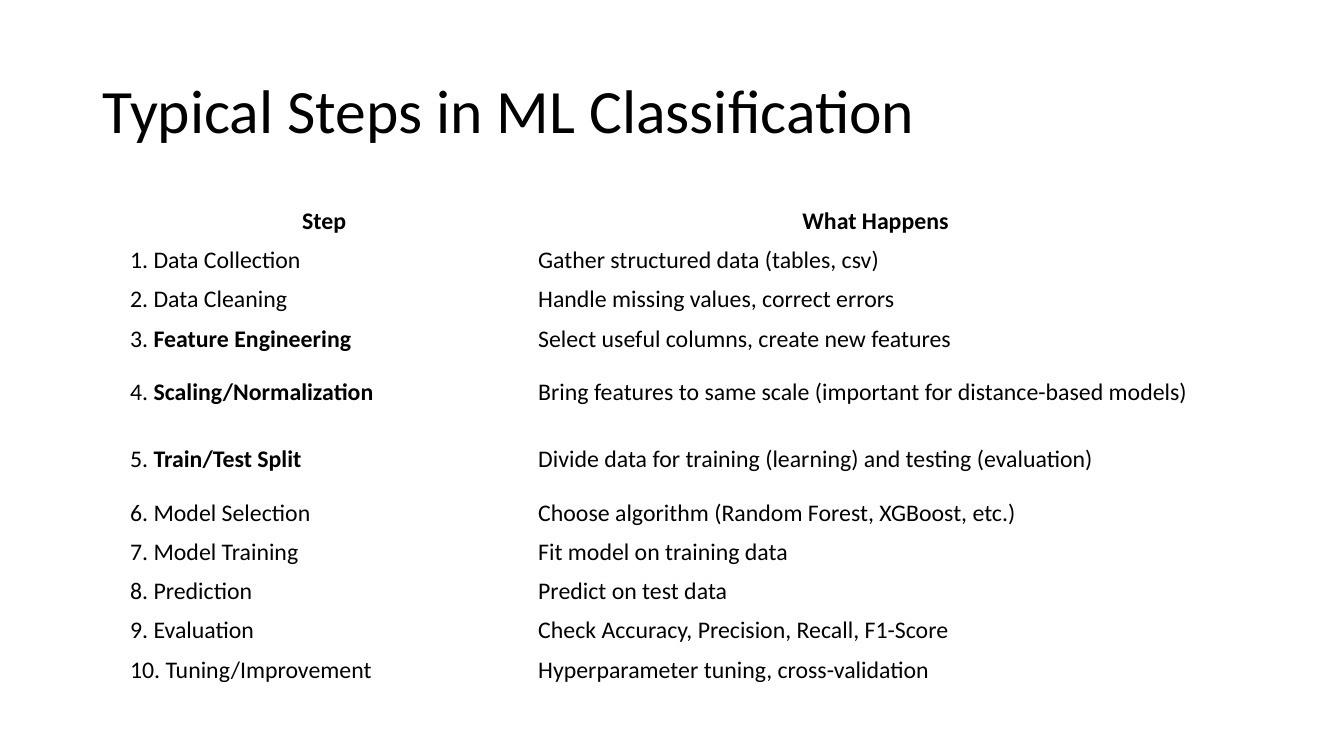
from pptx import Presentation
from pptx.dml.color import RGBColor
from pptx.enum.text import MSO_ANCHOR, PP_ALIGN
from pptx.util import Inches, Pt

MIDDLE = MSO_ANCHOR.MIDDLE
LEFT, CENTER = PP_ALIGN.LEFT, PP_ALIGN.CENTER
TITLE_ONLY = 5
COLORS = {"text": "000000"}
TITLE_FORMAT = {"name": "Calibri", "size": Pt(44), "bold": False}
CELL_FORMAT = {"name": "Calibri", "size": Pt(17)}
HEADERS = ("Step", "What Happens")
STEPS = [
    ("Data Collection", "Gather structured data (tables, csv)"),
    ("Data Cleaning", "Handle missing values, correct errors"),
    ("Feature Engineering", "Select useful columns, create new features"),
    ("Scaling/Normalization",
     "Bring features to same scale (important for distance-based models)"),
    ("Train/Test Split",
     "Divide data for training (learning) and testing (evaluation)"),
    ("Model Selection", "Choose algorithm (Random Forest, XGBoost, etc.)"),
    ("Model Training", "Fit model on training data"),
    ("Prediction", "Predict on test data"),
    ("Evaluation", "Check Accuracy, Precision, Recall, F1-Score"),
    ("Tuning/Improvement", "Hyperparameter tuning, cross-validation"),
]
KEY_STEPS = {3, 4, 5}
TALL_ROWS = {4, 5}
ROW_HEIGHT, TALL_HEIGHT = 0.38, 0.67
STEP_SHARE = 0.37


def add_run(paragraph, text, font_format):
    """Append a run with the given font values."""
    run = paragraph.add_run()
    run.text = text
    for name, value in font_format.items():
        setattr(run.font, name, value)
    run.font.color.rgb = RGBColor.from_string(COLORS["text"])


def add_title(slide, text, left, top, width, height):
    """Place and format the title placeholder."""
    title = slide.shapes.title
    box = {"left": left, "top": top, "width": width, "height": height}
    for name, value in box.items():
        setattr(title, name, Inches(value))
    title.text_frame.vertical_anchor = MIDDLE
    paragraph = title.text_frame.paragraphs[0]
    paragraph.alignment = LEFT
    paragraph.line_spacing = 0.9
    add_run(paragraph, text, TITLE_FORMAT)


def fill_cell(cell, runs, alignment):
    """Write (text, bold) runs into a clear cell."""
    cell.fill.background()
    cell.vertical_anchor = MIDDLE
    paragraph = cell.text_frame.paragraphs[0]
    paragraph.alignment = alignment
    for text, bold in runs:
        add_run(paragraph, text, {**CELL_FORMAT, "bold": bold})


def add_steps_table(slide, left, top, width):
    """Build the numbered steps table below a header row."""
    heights = [TALL_HEIGHT if row in TALL_ROWS else ROW_HEIGHT
               for row in range(len(STEPS) + 1)]
    table = slide.shapes.add_table(
        len(heights), len(HEADERS), Inches(left), Inches(top),
        Inches(width), Inches(sum(heights))).table
    table.first_row = False
    table.horz_banding = False
    for column, share in zip(table.columns, (STEP_SHARE, 1 - STEP_SHARE)):
        column.width = Inches(width * share)
    for row, height in zip(table.rows, heights):
        row.height = Inches(height)
    for column, header in enumerate(HEADERS):
        fill_cell(table.cell(0, column), [(header, True)], CENTER)
    for number, (step, action) in enumerate(STEPS, 1):
        if number in KEY_STEPS:
            runs = [(f"{number}. ", False), (step, True)]
        else:
            runs = [(f"{number}. {step}", False)]
        fill_cell(table.cell(number, 0), runs, LEFT)
        fill_cell(table.cell(number, 1), [(action, False)], LEFT)


def main():
    """Build and save the slide."""
    presentation = Presentation()
    presentation.slide_width = Inches(13.33)
    presentation.slide_height = Inches(7.5)
    slide = presentation.slides.add_slide(presentation.slide_layouts[TITLE_ONLY])
    add_title(slide, "Typical Steps in ML Classification", 0.92, 0.4, 11.5, 1.45)
    add_steps_table(slide, 1.19, 2, 10.94)
    presentation.save("out.pptx")


if __name__ == "__main__":
    main()
